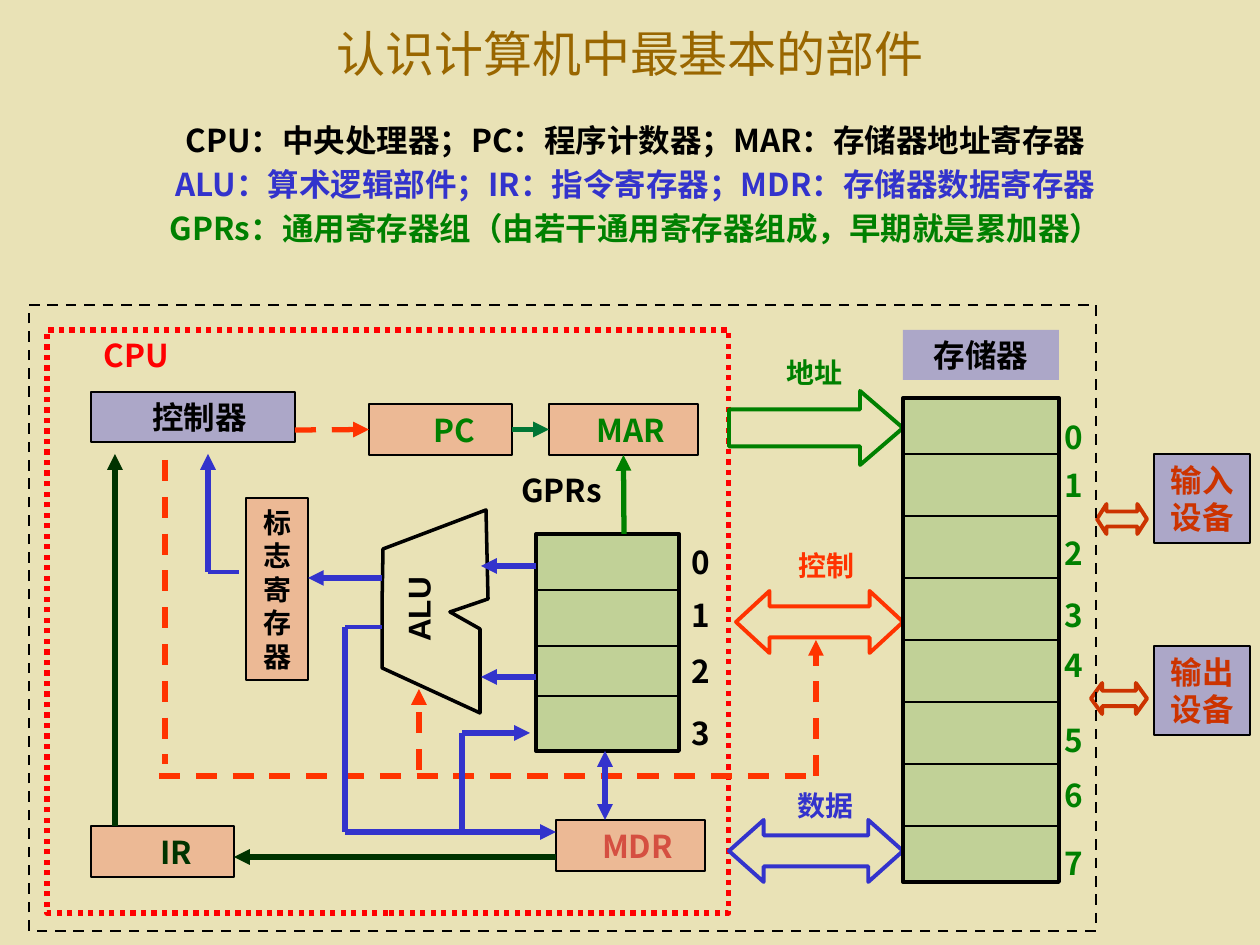
"""Build a slide on the basic parts of a computer."""
from lxml.etree import SubElement as Sub
from pptx import Presentation
from pptx.dml.color import RGBColor
from pptx.enum.dml import MSO_LINE as Dash
from pptx.enum.shapes import MSO_CONNECTOR as Conn, MSO_SHAPE as Kind
from pptx.enum.text import MSO_ANCHOR as Anchor, PP_ALIGN as Align
from pptx.oxml.ns import qn
from pptx.util import Inches, Pt

PX = 914400 / 126
hue = RGBColor.from_string
SAND, BLACK, RED, GREEN = "E9E2B6", "000000", "FF0000", "008000"
BLUE, FLAME, RUST, MOSS = "3333CC", "FF3300", "CC3300", "003300"
LILAC, PEACH, LEAF = ("0000FF", 26), (RED, 18), (GREEN, 17)

deck = Presentation()
deck.slide_width, deck.slide_height = Inches(10), Inches(7.5)
slide = deck.slides.add_slide(deck.slide_layouts[5])
slide.background.fill.solid()
slide.background.fill.fore_color.rgb = hue(SAND)
shapes = slide.shapes


def box(place, text="", ink=BLACK, size=18, kind=Kind.RECTANGLE, fill=None,
        line=None, width=0.75, dash=None, pad=0, font="Noto Sans CJK SC"):
    """Add a shape, or a text box when kind is None."""
    spot = [round(n * PX) for n in place]
    if kind is None:
        item = shapes.add_textbox(*spot)
    else:
        item = shapes.add_shape(kind, *spot)
        item.shadow.inherit = False
        item.fill.background()
        item.line.fill.background()
    if fill:
        tint, part = fill
        item.fill.solid()
        item.fill.fore_color.rgb = hue(tint)
        if part < 100:
            tone = item._element.spPr.find(qn("a:solidFill"))[0]
            Sub(tone, qn("a:alpha"), val=str(part * 1000))
    if line:
        item.line.color.rgb = hue(line)
        item.line.width = Pt(width)
        if dash:
            item.line.dash_style = dash
    if text:
        frame = item.text_frame
        frame.word_wrap = True
        frame.vertical_anchor = Anchor.MIDDLE
        frame.margin_left, frame.margin_right = round(pad * PX), 0
        frame.text = text
        for para in frame.paragraphs:
            para.alignment = Align.CENTER
            para.line_spacing = Pt(round(size * 1.2, 1))
            for run in para.runs:
                run.font.size, run.font.bold = Pt(size), True
                run.font.color.rgb = hue(ink)
                run.font.name = font
                Sub(run._r.get_or_add_rPr(), qn("a:ea"), typeface=font)
    return item


def wire(x1, y1, x2, y2, ink, width=3, ends="", dash=None):
    """Add a straight line with arrowheads at the named ends."""
    item = shapes.add_connector(
        Conn.STRAIGHT, *[round(n * PX) for n in (x1, y1, x2, y2)])
    item.line.color.rgb = hue(ink)
    item.line.width = Pt(width)
    if dash:
        item.line.dash_style = dash
    edge = item.line._get_or_add_ln()
    for end in ends.split():
        Sub(edge, qn(f"a:{end}End"), type="triangle")
    Sub(item._element.spPr, qn("a:effectLst"))
    return item


title = shapes.title
title.left, title.top, title.width, title.height = [
    round(n * PX) for n in (63, 14, 1134, 77)]
title.text_frame.text = "认识计算机中最基本的部件"
title.text_frame.vertical_anchor = Anchor.MIDDLE
head = title.text_frame.paragraphs[0]
head.alignment = Align.CENTER
head.runs[0].font.size = Pt(28)
head.runs[0].font.name = "Times New Roman"
head.runs[0].font.color.rgb = hue("996600")

terms = box((40, 113, 1191, 142), "CPU：中央处理器；PC：程序计数器；MAR：存储器地址寄存器\n"
            "ALU：算术逻辑部件；IR：指令寄存器；MDR：存储器数据寄存器\n"
            "GPRs：通用寄存器组（由若干通用寄存器组成，早期就是累加器）", kind=None)
for row, (para, ink) in enumerate(zip(terms.text_frame.paragraphs, (BLACK, BLUE, GREEN))):
    para.runs[0].font.color.rgb = hue(ink)
    if row:
        para.space_before = Pt(3.6)

box((47, 330, 682, 583), line=RED, width=3, dash=Dash.ROUND_DOT)
box((91, 392, 204, 50), "控制器", fill=LILAC, line=BLACK, pad=13)
unit = {}
for name, place, ink, pad in (
        ("PC", (369, 404, 143, 51), GREEN, 28),
        ("MAR", (549, 404, 149, 51), GREEN, 14),
        ("MDR", (556, 820, 149, 51), "D54F41", 14),
        ("IR", (91, 826, 143, 51), MOSS, 28)):
    unit[name] = box(place, name, ink, fill=PEACH, line=BLACK, pad=pad)
box((246, 498, 62, 182), "标\n志\n寄\n存\n器", size=16, fill=PEACH, line=BLACK)
for top, text in ((454, "输入\n设备"), (646, "输出\n设备")):
    box((1154, top, 96, 89), text, RUST, fill=LILAC, line=BLACK)

for place, kind, ink, tip in (
        ((1097, 504, 50, 30), Kind.LEFT_RIGHT_ARROW, RUST, 0.32),
        ((1091, 683, 56, 31), Kind.LEFT_RIGHT_ARROW, RUST, 0.36),
        ((736, 591, 167, 62), Kind.LEFT_RIGHT_ARROW, FLAME, 0.54),
        ((729, 820, 174, 62), Kind.LEFT_RIGHT_ARROW, BLUE, 0.56),
        ((729, 391, 174, 74), Kind.RIGHT_ARROW, GREEN, 0.58)):
    bus = box(place, kind=kind, fill=(SAND, 100), line=ink, width=2.25)
    bus.adjustments[0], bus.adjustments[1] = 0.5, tip

pen = shapes.build_freeform(486, 510, scale=PX)
pen.add_line_segments([(488, 599), (450, 612), (480, 629), (480, 713),
                       (382, 668), (382, 605), (383, 549)], close=True)
alu = pen.convert_to_shape()
alu.shadow.inherit = False
alu.fill.background()
alu.line.color.rgb = hue(BLACK)
alu.line.width = Pt(2)
box((362, 586, 112, 47), "ALU", kind=None, font="Arial").rotation = 270

for place, rows, tags, left, wide, ink in (
        ((536, 534, 143, 217), (590, 646, 696), (562, 615, 671, 733), 679, 44, BLACK),
        ((903, 398, 156, 484), [454 + 62 * n for n in range(7)],
         (437, 485, 553, 615, 665, 740, 795, 863), 1053, 42, GREEN)):
    store = box(place, fill=LEAF, line=BLACK, width=2.25)
    for y in rows:
        wire(place[0], y, place[0] + place[2], y, BLACK, 0.75)
    for num, y in enumerate(tags):
        box((left, y - 25, wide, 50), str(num), ink, kind=None)

box((903, 330, 156, 50), "存储器", fill=LILAC)
for place, text, ink, size in (
        ((78, 330, 117, 50), "CPU", RED, 18),
        ((481, 465, 161, 50), "GPRs", BLACK, 18),
        ((755, 349, 118, 47), "地址", GREEN, 16),
        ((767, 542, 118, 47), "控制", FLAME, 16),
        ((772, 782, 106, 47), "数据", BLUE, 16)):
    box(place, text, ink, size, kind=None)

fetch = wire(295, 430, 369, 430, FLAME, ends="tail", dash=Dash.DASH)
fetch.end_connect(unit["PC"], 1)
step = wire(512, 430, 549, 430, "007635", ends="tail")
step.begin_connect(unit["PC"], 3)
step.end_connect(unit["MAR"], 1)
load = wire(624, 534, 624, 455, GREEN, ends="tail")
load.end_connect(unit["MAR"], 2)

for spot in ((159, 776, 810, 776), (165, 460, 165, 764)):
    wire(*spot, FLAME, dash=Dash.DASH)
for spot in ((419, 770, 419, 689), (816, 776, 816, 640)):
    wire(*spot, FLAME, ends="tail", dash=Dash.DASH)
for spot in ((556, 857, 234, 857), (115, 826, 115, 454)):
    wire(*spot, MOSS, ends="tail")
for spot in ((536, 566, 481, 566), (536, 677, 481, 677), (382, 578, 308, 578),
             (208, 572, 208, 454), (345, 832, 556, 832), (462, 733, 530, 733)):
    wire(*spot, BLUE, ends="tail")
for spot in ((345, 627, 345, 832), (462, 832, 462, 733)):
    wire(*spot, BLUE)
for spot in ((239, 572, 208, 572), (382, 627, 345, 627)):
    wire(*spot, BLUE, 2.25)
wire(605, 751, 605, 820, BLUE, ends="head tail")

box((29, 305, 1067, 626), line=BLACK, width=1.5, dash=Dash.DASH)
deck.save("out.pptx")
